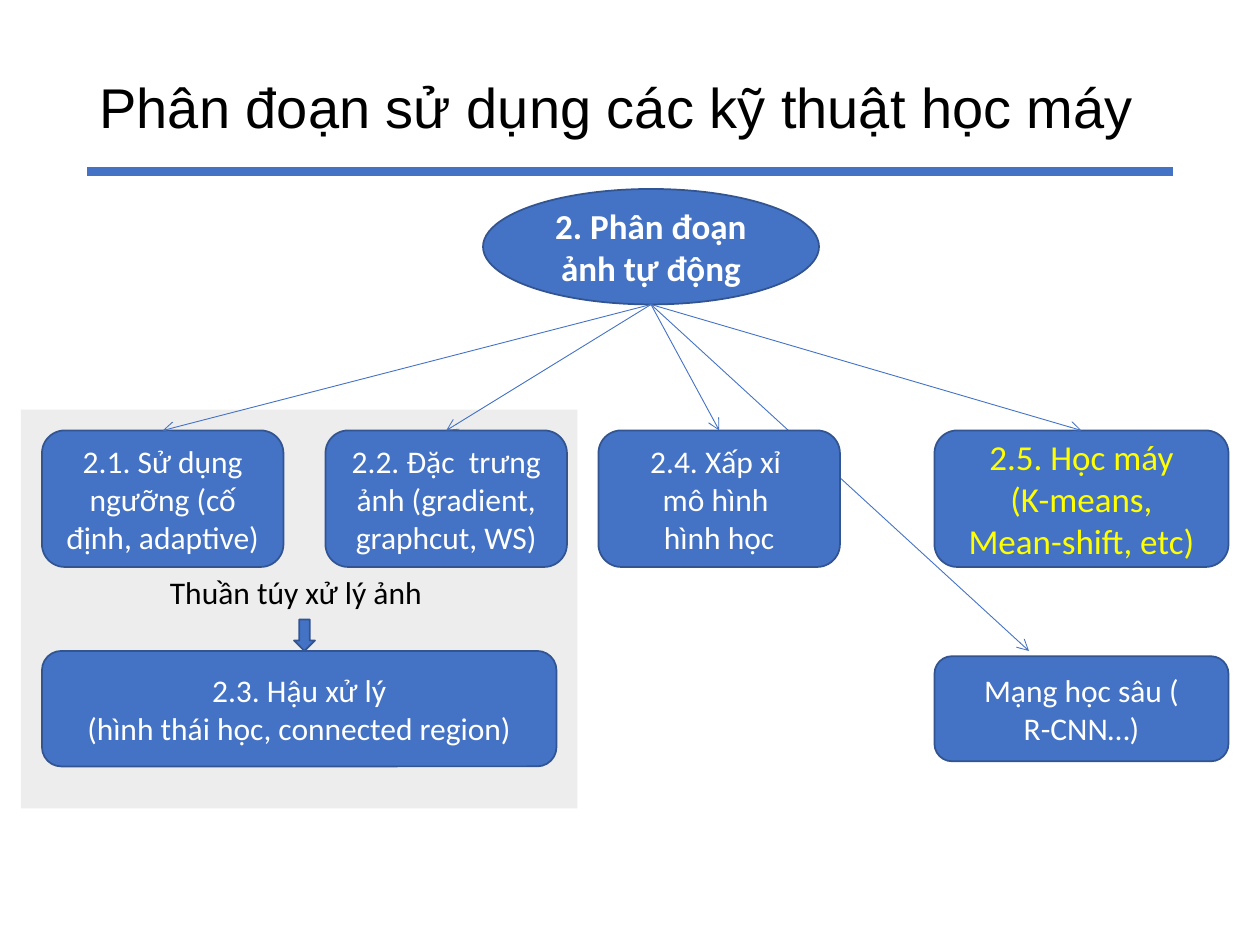
from pptx import Presentation, util as u
from pptx.dml.color import RGBColor
from pptx.enum import shapes, text
from lxml import etree

PX = 7620  # 120 px to the inch
DRAWING = "{http://schemas.openxmlformats.org/drawingml/2006/main}"
BLUE, EDGE, WHITE, YELLOW = "4472C4", "325491", "FFFFFF", "FFFF00"
KIND = shapes.MSO_SHAPE


def color(fill, value):
    """Give a fill a solid colour."""
    fill.solid()
    fill.fore_color.rgb = RGBColor.from_string(value)


def add_item(kind, box, words="", size=18, ink=WHITE, font="Calibri", fill=BLUE, edge=EDGE):
    """Add a shape, or a text box when kind is None, with its text."""
    place = [n * PX for n in box]
    if kind is None:
        shape = slide.shapes.add_textbox(*place)
    else:
        shape = slide.shapes.add_shape(kind, *place)
        shape.shadow.inherit = False
        color(shape.fill, fill)
        if edge:
            color(shape.line.fill, edge)
            shape.line.width = u.Pt(1)
        else:
            shape.line.fill.background()
    frame = shape.text_frame
    frame.word_wrap = True
    frame.text = words
    if kind is not None:
        frame.vertical_anchor = text.MSO_ANCHOR.MIDDLE
    for paragraph in frame.paragraphs:
        if kind is not None:
            paragraph.alignment = text.PP_ALIGN.CENTER
        paragraph.font.size = u.Pt(size)
        paragraph.font.name = font
        color(paragraph.font.fill, ink)
    return shape


presentation = Presentation()
presentation.slide_width, presentation.slide_height = 1200 * PX, 900 * PX
slide = presentation.slides.add_slide(presentation.slide_layouts[6])

# Title and rule
title = add_item(None, (83, 48, 1034, 115), "Phân đoạn sử dụng các kỹ thuật học máy",
                 32, "000000", "Arial")
title.text_frame.vertical_anchor = text.MSO_ANCHOR.MIDDLE
title.text_frame.paragraphs[0].line_spacing = 0.9
rule = slide.shapes.add_connector(shapes.MSO_CONNECTOR.STRAIGHT,
                                  83 * PX, 163 * PX, 1117 * PX, 163 * PX)
color(rule.line.fill, BLUE)
rule.line.width = u.Pt(5)
etree.SubElement(rule.element.spPr, DRAWING + "effectLst")

# Panel behind the image processing group
add_item(KIND.RECTANGLE, (20, 390, 530, 380), fill="EDEDED", edge=None)

# Root of the tree
root = add_item(KIND.OVAL, (460, 180, 320, 110), "2. Phân đoạn ảnh tự động", 20)
root.text_frame.paragraphs[0].font.bold = True

# Branches: box, words, size, ink, arrow tip (None: middle of the top side);
# the deep network comes first so that its arrow passes behind the other boxes
branches = [
    ((890, 625, 280, 100), "Mạng học sâu (\nR-CNN…)", 18, WHITE, (980, 620)),
    ((40, 410, 230, 130), "2.1. Sử dụng ngưỡng (cố định, adaptive)", 18, WHITE, None),
    ((310, 410, 230, 130), "2.2. Đặc  trưng ảnh (gradient, graphcut, WS)", 18, WHITE, None),
    ((570, 410, 230, 130), "2.4. Xấp xỉ \nmô hình \vhình học", 18, WHITE, None),
    ((890, 410, 280, 130), "2.5. Học máy\n(K-means,\nMean-shift, etc)", 20, YELLOW, None),
]
for box, words, size, ink, tip in branches:
    branch = add_item(KIND.ROUNDED_RECTANGLE, box, words, size, ink)
    end_x, end_y = tip or (box[0] + box[2] // 2, box[1])
    arrow = slide.shapes.add_connector(shapes.MSO_CONNECTOR.STRAIGHT,
                                       620 * PX, 290 * PX, end_x * PX, end_y * PX)
    if tip is None:
        arrow.end_connect(branch, 0)
    color(arrow.line.fill, BLUE)
    arrow.line.width = u.Pt(0.5)
    outline = arrow.element.spPr.find(DRAWING + "ln")
    etree.SubElement(outline, DRAWING + "tailEnd", type="arrow")
    etree.SubElement(arrow.element.spPr, DRAWING + "effectLst")

# Post-processing step
add_item(KIND.ROUNDED_RECTANGLE, (40, 620, 490, 110),
         "2.3. Hậu xử lý\n(hình thái học, connected region)")
label = add_item(None, (150, 540, 268, 48), "Thuần túy xử lý ảnh", ink="000000")
label.text_frame.auto_size = text.MSO_AUTO_SIZE.SHAPE_TO_FIT_TEXT
add_item(KIND.DOWN_ARROW, (280, 590, 20, 30))

presentation.save("out.pptx")
